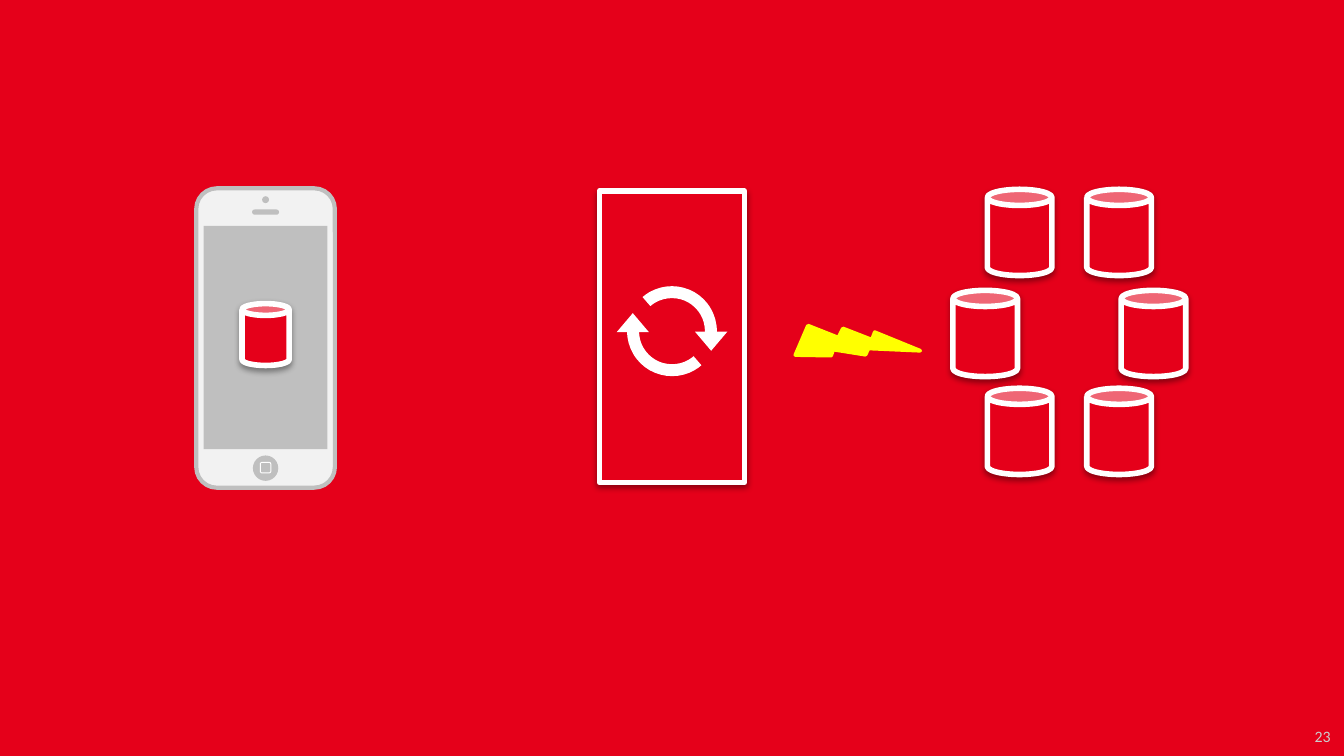
import pptx
import pptx.dml.color
import pptx.enum.shapes
import pptx.enum.text
import pptx.oxml
import pptx.oxml.ns
import pptx.util

Cm, Pt = pptx.util.Cm, pptx.util.Pt
KIND = pptx.enum.shapes.MSO_SHAPE

COLORS = {
    "red": "E5001A", "white": "FFFFFF", "light": "F2F2F2",
    "grey": "BFBFBF", "yellow": "FFFF00", "number": "CCCCCC",
}
PAGE_NUMBER = "23"
NUMBER_FORMAT = {"name": "Calibri", "size": Pt(8.5)}
NUMBER_FRAME = {
    "margin_top": 0, "margin_bottom": 0, "word_wrap": True,
    "vertical_anchor": pptx.enum.text.MSO_ANCHOR.MIDDLE,
}

# Each part: kind, centre x, top, width, height (cm), then its format
BOXED = {"fill": "red", "line": ("white", 3), "shadow": True}
ARC = {"fill": "white", "adj": (137.529, 1.08, 0.133)}

RING_X, RING_ROWS = 20.21, [(3.58, 0.94), (5.49, 1.59), (7.34, 0.94)]
DATABASES = [
    (KIND.CAN, RING_X + side * offset, top, 1.22, 1.63, BOXED)
    for side in (-1, 1) for top, offset in reversed(RING_ROWS)
]

PHONE_X = 5.02
PHONE = [
    (KIND.ROUNDED_RECTANGLE, PHONE_X, 3.56, 2.62, 5.66,
     {"fill": "light", "line": ("grey", 2.25), "adj": (0.149,)}),
    (KIND.RECTANGLE, PHONE_X, 4.27, 2.34, 4.22, {"fill": "grey"}),
    (KIND.OVAL, PHONE_X, 3.71, 0.13, 0.13, {"fill": "grey"}),
    (KIND.OVAL, PHONE_X, 8.61, 0.48, 0.48, {"fill": "grey"}),
    (KIND.ROUNDED_RECTANGLE, PHONE_X, 8.74, 0.2, 0.2, {"line": ("white", 0.5)}),
    (KIND.ROUNDED_RECTANGLE, PHONE_X, 3.96, 0.51, 0.1,
     {"fill": "grey", "adj": (0.5,)}),
    (KIND.CAN, PHONE_X, 5.74, 0.89, 1.17, BOXED),
]

SERVER_X = 12.7
SERVER = [(KIND.RECTANGLE, SERVER_X, 3.61, 2.74, 5.51, BOXED)]
SYNC = [
    (KIND.BLOCK_ARC, SERVER_X, 5.41, 1.7, 1.7, {**ARC, "rotation": 180}),
    (KIND.ISOSCELES_TRIANGLE, SERVER_X - 0.74, 5.92, 0.61, 0.36, {"fill": "white"}),
    (KIND.BLOCK_ARC, SERVER_X, 5.41, 1.7, 1.7, ARC),
    (KIND.ISOSCELES_TRIANGLE, SERVER_X + 0.74, 6.27, 0.61, 0.36,
     {"fill": "white", "rotation": 180}),
]
BOLT = [(KIND.LIGHTNING_BOLT, 16.14, 5.33, 1.14, 2.26,
         {"fill": "yellow", "line": ("yellow", 2), "rotation": 71, "flip": True})]


def rgb(name):
    return pptx.dml.color.RGBColor.from_string(COLORS[name])


def add_shadow(sp):
    effects = sp.element.spPr.find(pptx.oxml.ns.qn("a:effectLst"))
    effects.append(pptx.oxml.parse_xml(
        f'<a:outerShdw {pptx.oxml.ns.nsdecls("a")} blurRad="40000" dist="20000" '
        'dir="5400000" rotWithShape="0"><a:srgbClr val="000000">'
        '<a:alpha val="38000"/></a:srgbClr></a:outerShdw>'))


def add_part(shapes, kind, center_x, top, width, height, style):
    sp = shapes.add_shape(
        kind, Cm(center_x - width / 2), Cm(top), Cm(width), Cm(height))
    sp.shadow.inherit = False
    sp.rotation = style.get("rotation", 0)
    for i, value in enumerate(style.get("adj", ())):
        sp.adjustments[i] = value
    if "fill" in style:
        sp.fill.solid()
        sp.fill.fore_color.rgb = rgb(style["fill"])
    else:
        sp.fill.background()
    if "line" in style:
        color, weight = style["line"]
        sp.line.color.rgb = rgb(color)
        sp.line.width = Pt(weight)
    else:
        sp.line.fill.background()
    if style.get("flip"):
        sp.element.spPr.xfrm.set("flipV", "1")
    if style.get("shadow"):
        add_shadow(sp)


def add_page_number(s):
    box = s.shapes.add_textbox(Cm(22.99), Cm(13.54), Cm(2.41), Cm(0.76))
    tf = box.text_frame
    for name, value in NUMBER_FRAME.items():
        setattr(tf, name, value)
    p = tf.paragraphs[0]
    p.alignment = pptx.enum.text.PP_ALIGN.RIGHT
    r = p.add_run()
    r.text = PAGE_NUMBER
    for name, value in NUMBER_FORMAT.items():
        setattr(r.font, name, value)
    r.font.color.rgb = rgb("number")


def main():
    prs = pptx.Presentation()
    prs.slide_width, prs.slide_height = Cm(25.4), Cm(14.29)
    s = prs.slides.add_slide(prs.slide_layouts[6])
    s.background.fill.solid()
    s.background.fill.fore_color.rgb = rgb("red")
    add_page_number(s)
    for parts in (DATABASES, PHONE, SERVER, SYNC, BOLT):
        shapes = s.shapes.add_group_shape().shapes if len(parts) > 1 else s.shapes
        for part in parts:
            add_part(shapes, *part)
    prs.save("out.pptx")


if __name__ == "__main__":
    main()
